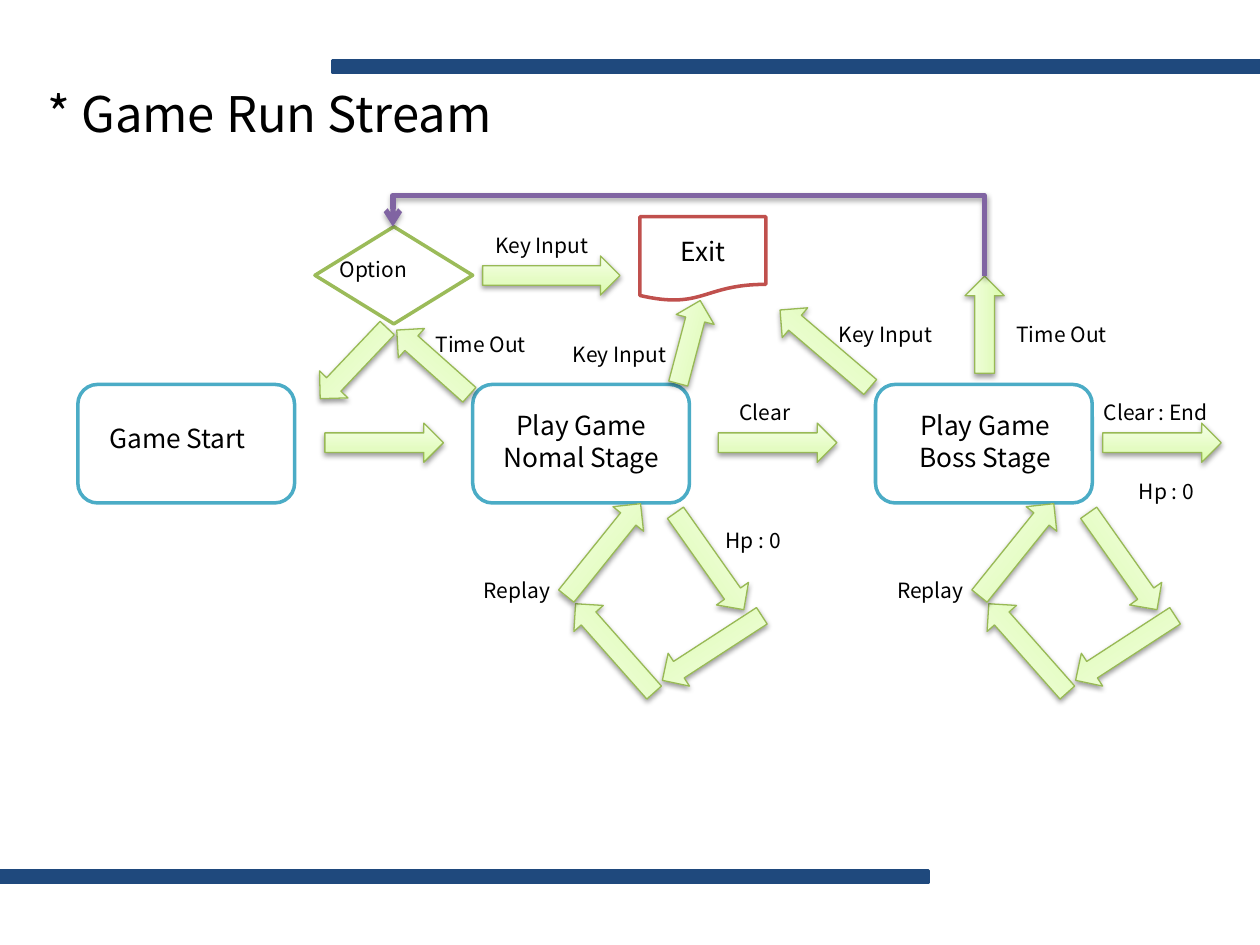
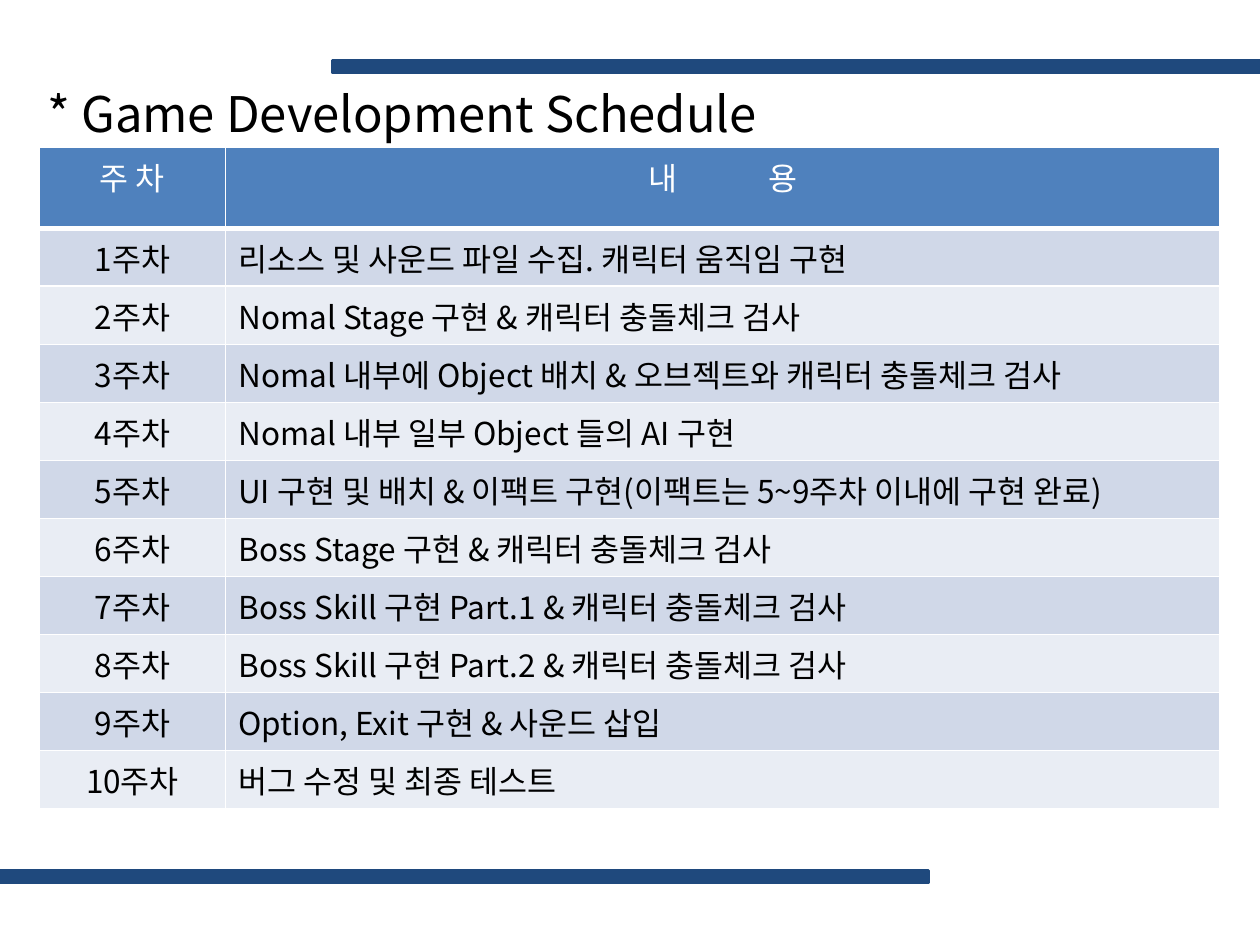
"""Build a game run-stream flowchart slide and a development schedule slide."""
import pptx
import pptx.dml.color
import pptx.enum.shapes
import pptx.enum.text
import pptx.oxml
import pptx.oxml.ns
import pptx.util

Cm, Pt = pptx.util.Cm, pptx.util.Pt
SHAPE = pptx.enum.shapes.MSO_SHAPE
ALIGN = pptx.enum.text.PP_ALIGN
qn = pptx.oxml.ns.qn

THEME = {
    "font": "Noto Sans CJK KR",
    "size": {"title": 28, "table": 18, "stage": 15, "label": 12},
    "color": {
        "text": "000000", "paper": "FFFFFF", "band": "1F497D", "stage": "4BACC6",
        "option": "9BBB59", "exit": "C0504D", "arrow": "98B955", "return": "8064A2",
        "header": "4F81BD", "odd": "D0D8E8", "even": "E9EDF4",
    },
    "gradient": [(0, "DAFDA7"), (35, "E4FCC2"), (100, "F5FFE7")],
}

BANDS = [(6.7, 1.22), (0, 17.55)]
BAND_SIZE = (18.72, 0.23)
FLOW_TITLE = ("* Game Run Stream", 12.4)
SCHEDULE_TITLE = ("* Game Development Schedule", 19.53)

STAGE_LEFTS = [1.57, 9.53, 17.65]
STAGE_TOP, STAGE_SIZE = 7.75, (4.37, 2.39)
STAGE_NAMES = [
    ("Game Start", 1.57, 8.38, 4.02),
    ("Play Game\vNomal Stage", 9.33, 8.13, 4.78),
    ("Play Game\vBoss Stage", 17.47, 8.13, 4.78),
]
OPTION = (6.35, 4.57, 3.18, 1.96)
EXIT = (12.9, 4.37, 2.54, 1.7)
ARROW_THICKNESS = 0.79
STEP = 2.39
ARROWS = [
    (6.55, 8.53, STEP, 0), (14.48, 8.53, STEP, 0), (22.23, 8.53, STEP, 0),
    (9.73, 5.16, 2.77, 0), (7.75, 6.91, 1.96, 221.7), (6.15, 6.93, 1.96, 133.5),
    (13.03, 6.5, 1.73, 284.8), (15.44, 6.63, STEP, 220.5), (18.87, 6.15, 1.96, 270),
]
REPLAY_LOOP = [(13.11, 10.92, 54.8), (13.16, 12.67, 147),
               (11.2, 12.67, 228.5), (10.97, 10.69, 308.8)]
REPLAY_LABEL = ("Replay", 7.54, 11.51, 5.77)
LOOP_OFFSETS = [0, 8.33]
LABEL_WIDTH = 2.77
LABELS = [
    ("Option", 6.6, 5.05), ("Key Input", 9.73, 4.57), ("Key Input", 16.66, 6.35),
    ("Key Input", 11.3, 6.76), ("Time Out", 8.53, 6.55), ("Time Out", 20.24, 6.35),
    ("Clear", 14.66, 7.92), ("Clear : End", 22.0, 7.92),
    ("Hp : 0", 14.38, 10.52), ("Hp : 0", 22.71, 9.53),
]
RETURN_FROM, RETURN_TO, RETURN_CREST = (19.84, 5.56), (7.92, 4.57), 3.94

HEADINGS = ("주 차", "내 용")
TASKS = [
    "리소스 및 사운드 파일 수집. 캐릭터 움직임 구현",
    "Nomal Stage 구현 & 캐릭터 충돌체크 검사",
    "Nomal 내부에 Object 배치 & 오브젝트와 캐릭터 충돌체크 검사",
    "Nomal 내부 일부 Object 들의 AI 구현",
    "UI 구현 및 배치 & 이팩트 구현(이팩트는 5~9주차 이내에 구현 완료)",
    "Boss Stage 구현 & 캐릭터 충돌체크 검사",
    "Boss Skill 구현 Part.1 & 캐릭터 충돌체크 검사",
    "Boss Skill 구현 Part.2 & 캐릭터 충돌체크 검사",
    "Option, Exit 구현 & 사운드 삽입",
    "버그 수정 및 최종 테스트",
]
TABLE_AT = (0.79, 2.97)
COLUMN_WIDTHS = [3.76, 20.04]
HEADER_HEIGHT, ROW_HEIGHT = 1.63, 1.17


def rgb(role):
    return pptx.dml.color.RGBColor.from_string(THEME["color"][role])


def xml(markup):
    head, rest = markup.split(" ", 1)
    return pptx.oxml.parse_xml(f"{head} {pptx.oxml.ns.nsdecls('a')} {rest}")


def apply(target, values):
    for name, value in values.items():
        setattr(target, name, value)


def write(frame, text, size, color="text", align=ALIGN.LEFT):
    frame.text = text
    paragraph = frame.paragraphs[0]
    paragraph.alignment = align
    for run in paragraph.runs:
        apply(run.font, {"name": THEME["font"], "size": Pt(THEME["size"][size]), "bold": False})
        run.font.color.rgb = rgb(color)
        run.font._element.append(xml(f'<a:ea typeface="{THEME["font"]}"/>'))


def add_text(slide, text, left, top, width, size="label", align=ALIGN.LEFT):
    lines = text.count("\v") + 1
    height = 0.25 + lines * THEME["size"][size] * 0.043
    frame = slide.shapes.add_textbox(Cm(left), Cm(top), Cm(width), Cm(height)).text_frame
    apply(frame, {"word_wrap": True,
                  "auto_size": pptx.enum.text.MSO_AUTO_SIZE.SHAPE_TO_FIT_TEXT})
    write(frame, text, size, align=align)


def add_block(slide, kind, box, line, fill="paper", weight=2):
    block = slide.shapes.add_shape(kind, *map(Cm, box))
    block.shadow.inherit = False
    block.fill.solid()
    block.fill.fore_color.rgb = rgb(fill)
    block.line.color.rgb = rgb(line)
    block.line.width = Pt(weight)
    return block


def drop_shadow(distance, opacity):
    return xml(f'<a:outerShdw blurRad="{Pt(3.1)}" dist="{Pt(distance)}" dir="5400000" '
               f'rotWithShape="0"><a:srgbClr val="000000"><a:alpha val="{opacity * 1000}"/>'
               '</a:srgbClr></a:outerShdw>')


def add_arrow(slide, left, top, length, rotation):
    arrow = add_block(slide, SHAPE.RIGHT_ARROW, (left, top, length, ARROW_THICKNESS),
                      "arrow", weight=0.75)
    arrow.rotation = rotation
    arrow.fill.gradient()
    arrow.fill.gradient_angle = 90
    properties = arrow._element.spPr
    stops = properties.find(".//" + qn("a:gsLst"))
    stops.clear()
    for position, color in THEME["gradient"]:
        stops.append(xml(f'<a:gs pos="{position * 1000}"><a:srgbClr val="{color}"/></a:gs>'))
    properties.find(qn("a:effectLst")).append(drop_shadow(1.6, 38))


def add_return_line(slide):
    (x1, y1), (x2, y2) = RETURN_FROM, RETURN_TO
    rise, run = y1 - y2, x1 - x2
    left, top = (x1 + x2 - rise) / 2, (y1 + y2 - run) / 2
    connector = slide.shapes.add_connector(
        pptx.enum.shapes.MSO_CONNECTOR.ELBOW,
        Cm(left), Cm(top + run), Cm(left + rise), Cm(top))
    connector.line.color.rgb = rgb("return")
    connector.line.width = Pt(3)
    properties = connector._element.spPr
    properties.find(qn("a:xfrm")).set("rot", str(270 * 60000))
    bend = round((y1 - RETURN_CREST) / rise * 100000)
    properties.find(".//" + qn("a:avLst")).append(
        xml(f'<a:gd name="adj1" fmla="val {bend}"/>'))
    properties.find(qn("a:ln")).append(xml('<a:tailEnd type="arrow"/>'))
    effects = xml("<a:effectLst />")
    effects.append(drop_shadow(1.8, 35))
    properties.append(effects)


def add_slide(deck, title, width):
    slide = deck.slides.add_slide(deck.slide_layouts[6])
    for corner in BANDS:
        add_block(slide, SHAPE.RECTANGLE, corner + BAND_SIZE, "band", "band")
    add_text(slide, title, 0.71, 1.55, width, "title")
    return slide


def draw_flow(slide):
    for left in STAGE_LEFTS:
        add_block(slide, SHAPE.ROUNDED_RECTANGLE, (left, STAGE_TOP) + STAGE_SIZE, "stage")
    for name in STAGE_NAMES:
        add_text(slide, *name, "stage", ALIGN.CENTER)
    add_block(slide, SHAPE.DIAMOND, OPTION, "option")
    exit_block = add_block(slide, SHAPE.FLOWCHART_DOCUMENT, EXIT, "exit")
    write(exit_block.text_frame, "Exit", "stage", align=ALIGN.CENTER)
    exit_block.text_frame.vertical_anchor = pptx.enum.text.MSO_ANCHOR.MIDDLE
    for arrow in ARROWS:
        add_arrow(slide, *arrow)
    replay, replay_left, replay_top, replay_width = REPLAY_LABEL
    for offset in LOOP_OFFSETS:
        for left, top, rotation in REPLAY_LOOP:
            add_arrow(slide, left + offset, top, STEP, rotation)
        add_text(slide, replay, replay_left + offset, replay_top, replay_width,
                 align=ALIGN.CENTER)
    for label in LABELS:
        add_text(slide, *label, LABEL_WIDTH)
    add_return_line(slide)


def fill_cell(cell, text, fill, color, align, bottom):
    properties = cell._tc.get_or_add_tcPr()
    for side, weight in {"L": 1, "R": 1, "T": 1, "B": bottom}.items():
        properties.append(xml(
            f'<a:ln{side} w="{Pt(weight)}"><a:solidFill><a:srgbClr '
            f'val="{THEME["color"]["paper"]}"/></a:solidFill></a:ln{side}>'))
    cell.fill.solid()
    cell.fill.fore_color.rgb = rgb(fill)
    write(cell.text_frame, text, "table", color, align)


def draw_schedule(slide):
    weeks = [(f"{number}주차", task) for number, task in enumerate(TASKS, 1)]
    rows = [HEADINGS] + weeks
    height = HEADER_HEIGHT + ROW_HEIGHT * len(weeks)
    schedule = slide.shapes.add_table(
        len(rows), len(HEADINGS), *map(Cm, TABLE_AT),
        Cm(sum(COLUMN_WIDTHS)), Cm(height)).table
    apply(schedule, {"first_row": False, "horz_banding": False})
    for column, width in zip(schedule.columns, COLUMN_WIDTHS):
        column.width = Cm(width)
    for r, row in enumerate(rows):
        header = r == 0
        schedule.rows[r].height = Cm(HEADER_HEIGHT if header else ROW_HEIGHT)
        fill = "header" if header else ("even", "odd")[r % 2]
        for c, text in enumerate(row):
            align = ALIGN.CENTER if header or c == 0 else ALIGN.LEFT
            fill_cell(schedule.cell(r, c), text, fill, "paper" if header else "text",
                      align, 3 if header else 1)
    spread_heading(schedule.cell(0, 1).text_frame)


def spread_heading(frame):
    first, last = HEADINGS[1].split()
    write(frame, first + " \v" + last, "table", "paper", ALIGN.CENTER)
    paragraph = frame.paragraphs[0]
    paragraph._p.remove(paragraph._p.find(qn("a:br")))
    paragraph.runs[0].font._element.set("spc", "2400")


def main():
    deck = pptx.Presentation()
    apply(deck, {"slide_width": Cm(25.4), "slide_height": Cm(19.05)})
    draw_flow(add_slide(deck, *FLOW_TITLE))
    draw_schedule(add_slide(deck, *SCHEDULE_TITLE))
    deck.save("out.pptx")


main()
